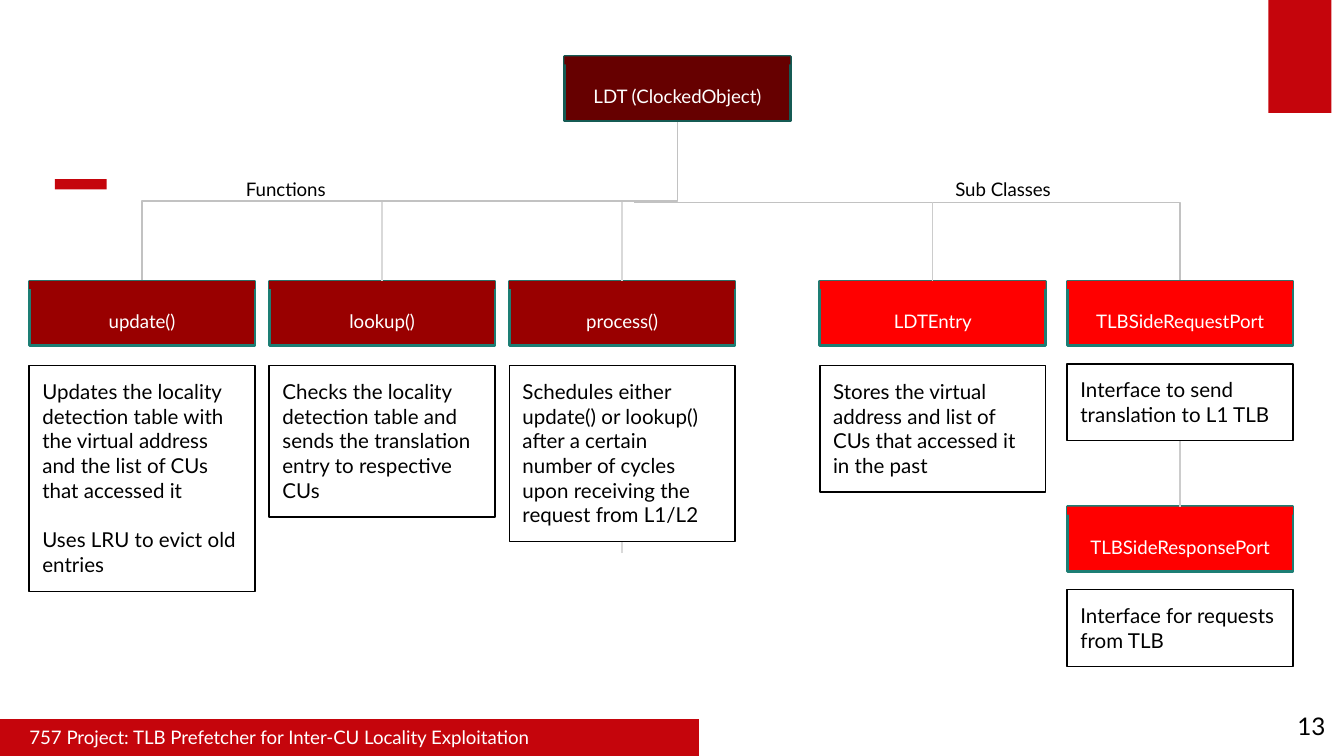
from lxml.etree import SubElement
from pptx import Presentation
from pptx.dml.color import RGBColor
from pptx.enum.shapes import MSO_CONNECTOR, MSO_SHAPE
from pptx.enum.text import MSO_ANCHOR, MSO_AUTO_SIZE, PP_ALIGN
from pptx.oxml.ns import qn
from pptx.util import Pt

COLORS = {
    "brand": "C5050C", "root": "660000", "function": "990000", "class": "FF0000",
    "root_edge": "155B54", "edge": "1D7E74", "elbow": "C2C2C2", "light": "D9D9D9",
    "gray": "CCCCCC", "black": "000000", "white": "FFFFFF",
}
FONT = "Lato"
CARD_WIDTH, CARD_HEIGHT, STRIP_HEIGHT = 121, 34.6, 4.3
ROW_TOP, NOTE_TOP, BRANCH_Y = 150.5, 195.8, 108.4
FUNCTION_LEFT, FUNCTION_PITCH = 15.6, 128.6
ENTRY_LEFT, PORT_LEFT = 439.2, 571.7
PORT_NOTE_TOP, PORT_PITCH = 194.9, 121
PORT_CENTER = PORT_LEFT + CARD_WIDTH / 2

FUNCTIONS = [
    ("update()", 121, ["Updates the locality detection table with the virtual address "
                       "and the list of CUs that accessed it",
                       "Uses LRU to evict old entries"]),
    ("lookup()", 81.2, ["Checks the locality detection table and sends the translation "
                        "entry to respective CUs"]),
    ("process()", 94.5, ["Schedules either update() or lookup() after a certain number "
                         "of cycles upon receiving the request from L1/L2"]),
]
PORTS = [
    ("TLBSideRequestPort", "Interface to send translation to L1 TLB"),
    ("TLBSideResponsePort", "Interface for requests from TLB"),
]


def color(name):
    """Return the named colour."""
    return RGBColor.from_string(COLORS[name])


def add_rectangle(shapes, left, top, width, height, fill=None, edge=None, weight=0.75):
    """Add a flat rectangle with optional fill and outline."""
    box = shapes.add_shape(MSO_SHAPE.RECTANGLE, Pt(left), Pt(top), Pt(width), Pt(height))
    box.shadow.inherit = False
    if fill:
        box.fill.solid()
        box.fill.fore_color.rgb = color(fill)
    else:
        box.fill.background()
    if edge:
        box.line.color.rgb = color(edge)
        box.line.width = Pt(weight)
    else:
        box.line.fill.background()
    return box


def write(box, paragraphs, size, ink="black", align=PP_ALIGN.LEFT, anchor=MSO_ANCHOR.TOP,
          insets=(7.2, 7.2, 7.2, 7.2), grow=False):
    """Fill a box with paragraphs spaced one line apart."""
    frame = box.text_frame
    frame.word_wrap = True
    frame.auto_size = MSO_AUTO_SIZE.SHAPE_TO_FIT_TEXT if grow else MSO_AUTO_SIZE.NONE
    frame.vertical_anchor = anchor
    frame.margin_left, frame.margin_top, frame.margin_right, frame.margin_bottom = map(Pt, insets)
    for index, text in enumerate(paragraphs):
        para = frame.add_paragraph() if index else frame.paragraphs[0]
        para.alignment = align
        if index:
            para.space_before = Pt(size * 1.2)
        span = para.add_run()
        span.text = text
        span.font.name = FONT
        span.font.size = Pt(size)
        span.font.color.rgb = color(ink)


def add_card(page, left, top, title, fill, edge="edge"):
    """Add a titled card with a strip along its top and return the card."""
    shapes = page.shapes.add_group_shape().shapes
    card = add_rectangle(shapes, left, top, CARD_WIDTH, CARD_HEIGHT, fill, edge, 1.5)
    write(card, [title], 10, "white", PP_ALIGN.CENTER, MSO_ANCHOR.BOTTOM)
    add_rectangle(shapes, left, top, CARD_WIDTH, STRIP_HEIGHT, fill)
    return card


def add_note(page, left, top, height, paragraphs):
    """Add an outlined description and return it."""
    note = add_rectangle(page.shapes, left, top, CARD_WIDTH, height, edge="black")
    write(note, paragraphs, 11, grow=True)
    return note


def add_label(page, left, top, width, height, text, size=10, align=PP_ALIGN.LEFT, grow=True):
    """Add a plain text label."""
    box = page.shapes.add_textbox(Pt(left), Pt(top), Pt(width), Pt(height))
    write(box, [text], size, align=align, grow=grow)


def add_line(page, start, end, ink, kind=MSO_CONNECTOR.STRAIGHT):
    """Add a thin connector without shadow."""
    line = page.shapes.add_connector(kind, *map(Pt, start + end))
    line.line.color.rgb = color(ink)
    line.line.width = Pt(0.75)
    SubElement(line._element.spPr, qn("a:effectLst"))
    return line


def add_branches(page, root_center, root_bottom):
    """Add the two elbows that carry the function and class branches."""
    corner = add_line(page, (339.8, BRANCH_Y), (PORT_CENTER, ROW_TOP), "elbow", MSO_CONNECTOR.ELBOW)
    corner._element.spPr.find(qn("a:prstGeom")).set("prst", "bentConnector2")
    first_center = FUNCTION_LEFT + CARD_WIDTH / 2
    middle_x, middle_y = (first_center + root_center) / 2, (ROW_TOP + root_bottom) / 2
    half_drop, half_span = (ROW_TOP - root_bottom) / 2, (root_center - first_center) / 2
    turned = add_line(page, (middle_x - half_drop, middle_y - half_span),
                      (middle_x + half_drop, middle_y + half_span), "elbow", MSO_CONNECTOR.ELBOW)
    turned._element.spPr.find(qn("a:xfrm")).set("rot", str(270 * 60000))


def add_riser(page, card, center, ink):
    """Join the top of a card to the branch line."""
    riser = add_line(page, (center, ROW_TOP), (center, BRANCH_Y), ink)
    riser.begin_connect(card, 0)


def add_functions(page):
    """Add the function cards, their notes and lines."""
    for index, (title, height, paragraphs) in enumerate(FUNCTIONS):
        left = FUNCTION_LEFT + index * FUNCTION_PITCH
        center = left + CARD_WIDTH / 2
        card = add_card(page, left, ROW_TOP, title, "function")
        note = add_note(page, left, NOTE_TOP, height, paragraphs)
        if index:
            add_riser(page, card, center, "light")
    bottom = NOTE_TOP + height
    stub = add_line(page, (center, bottom + 6), (center, bottom), "light")
    stub.end_connect(note, 2)


def add_classes(page):
    """Add the class cards, their notes and lines."""
    entry = add_card(page, ENTRY_LEFT, ROW_TOP, "LDTEntry", "class")
    add_riser(page, entry, ENTRY_LEFT + CARD_WIDTH / 2, "gray")
    add_note(page, ENTRY_LEFT, NOTE_TOP, 67.9,
             ["Stores the virtual address and list of CUs that accessed it in the past"])
    cards, notes = [], []
    for index, (title, text) in enumerate(PORTS):
        offset = index * PORT_PITCH
        cards.append(add_card(page, PORT_LEFT, ROW_TOP + offset, title, "class"))
        notes.append(add_note(page, PORT_LEFT, PORT_NOTE_TOP + offset, 41.2, [text]))
    link = add_line(page, (PORT_CENTER, 272), (PORT_CENTER, 236), "gray")
    link.begin_connect(cards[1], 0)
    link.end_connect(notes[0], 2)


def main():
    """Build and save the class diagram slide."""
    deck = Presentation()
    deck.slide_width, deck.slide_height = Pt(720), Pt(405)
    page = deck.slides.add_slide(deck.slide_layouts[6])
    add_rectangle(page.shapes, 679.5, 0, 33.8, 60.5, "brand")
    add_rectangle(page.shapes, 29.4, 96, 27.8, 5.5, "brand")
    root_left, root_top = 302.4, 30.2
    add_branches(page, root_left + CARD_WIDTH / 2, root_top + CARD_HEIGHT)
    add_card(page, root_left, root_top, "LDT (ClockedObject)", "root", "root_edge")
    add_label(page, 124.6, 89.3, 150.5, 26.6, "Functions")
    add_label(page, 504.7, 89.3, 104.4, 26.6, "Sub Classes")
    add_functions(page)
    add_classes(page)
    footer = add_rectangle(page.shapes, 0, 385.2, 374.4, 20.9, "brand")
    write(footer, ["757 Project: TLB Prefetcher for Inter-CU Locality Exploitation"], 10, "white",
          anchor=MSO_ANCHOR.MIDDLE, insets=(15.8, 3.6, 5, 5))
    add_label(page, 673.9, 373.7, 43.2, 31, "13", 13, PP_ALIGN.RIGHT, False)
    deck.save("out.pptx")


if __name__ == "__main__":
    main()
